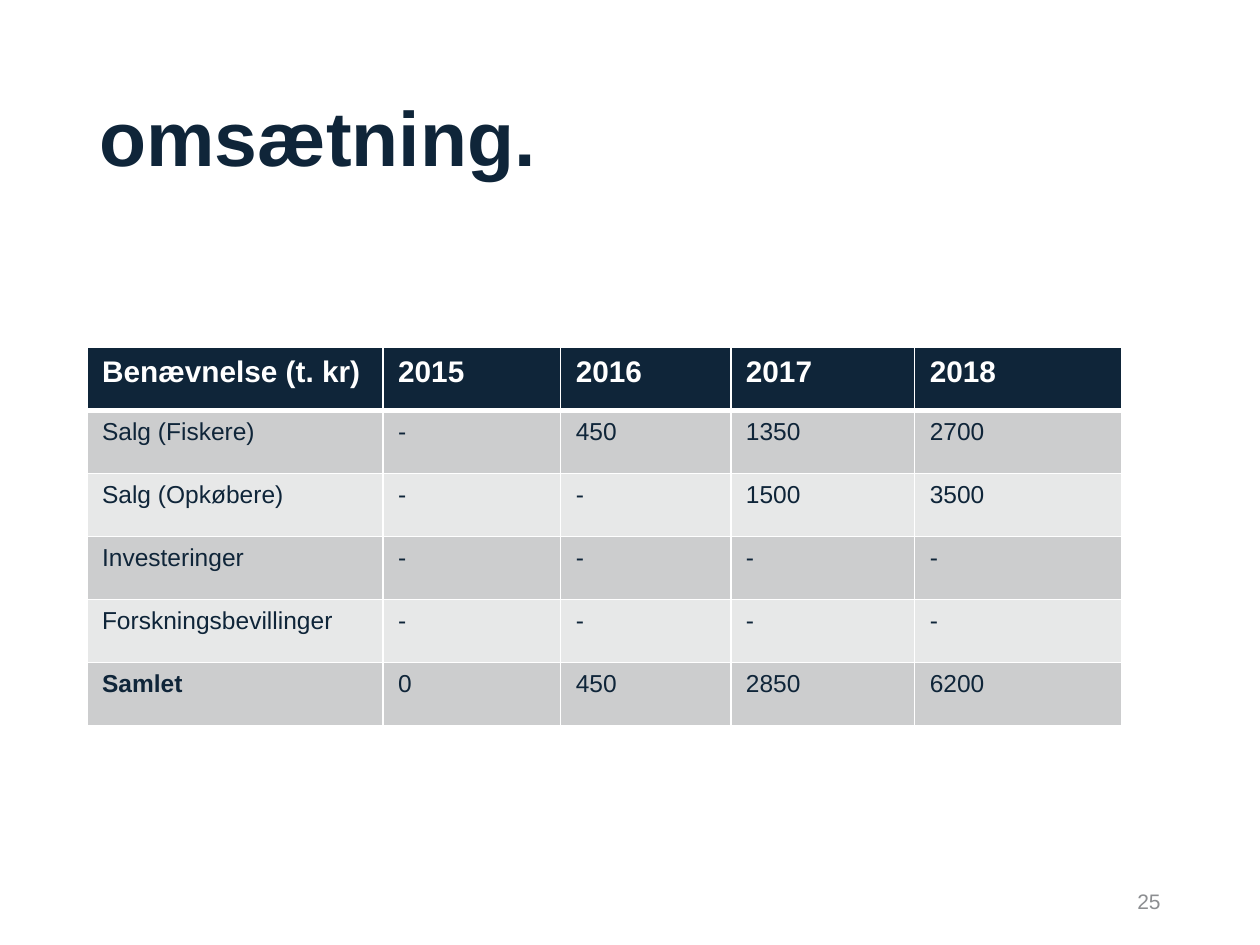
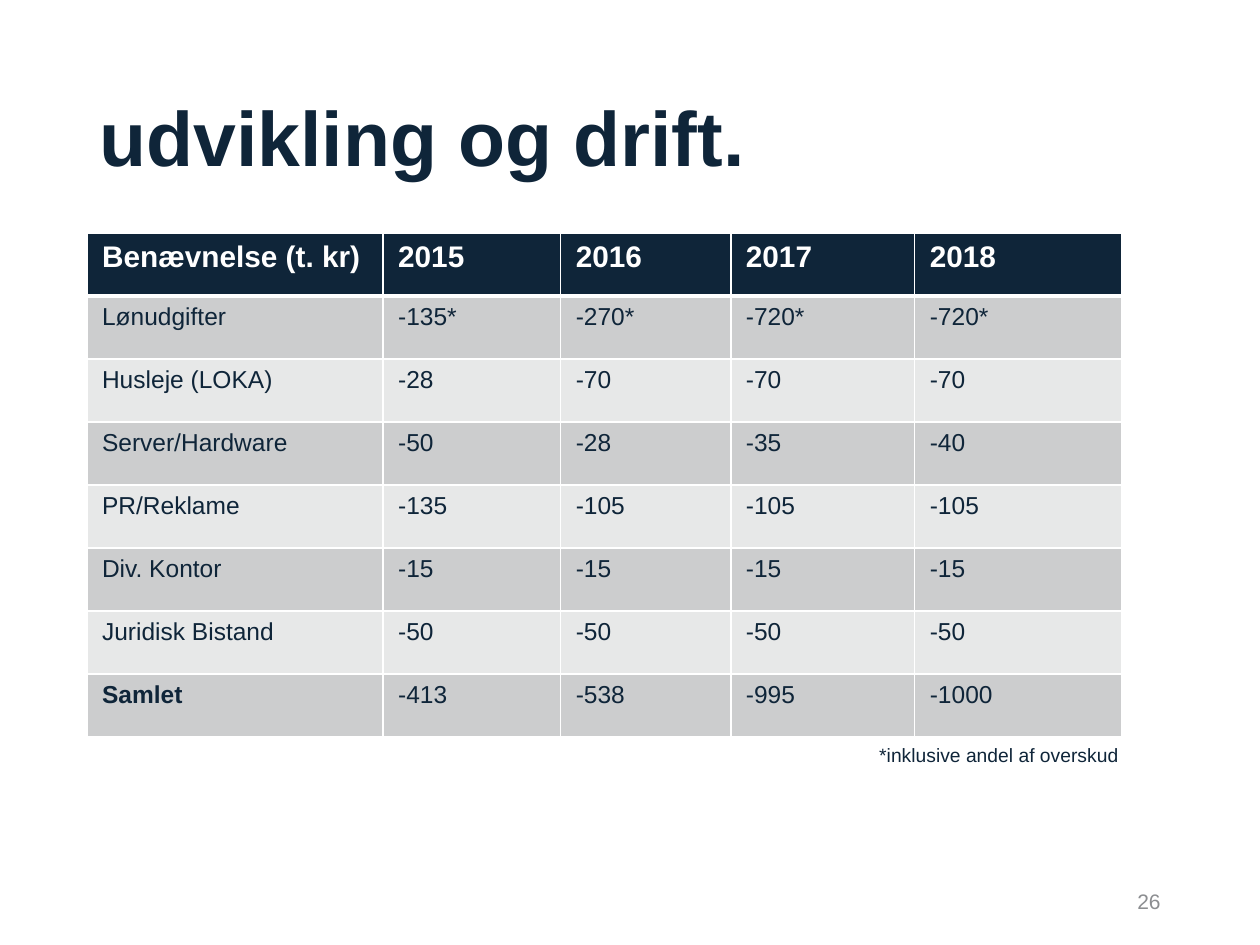
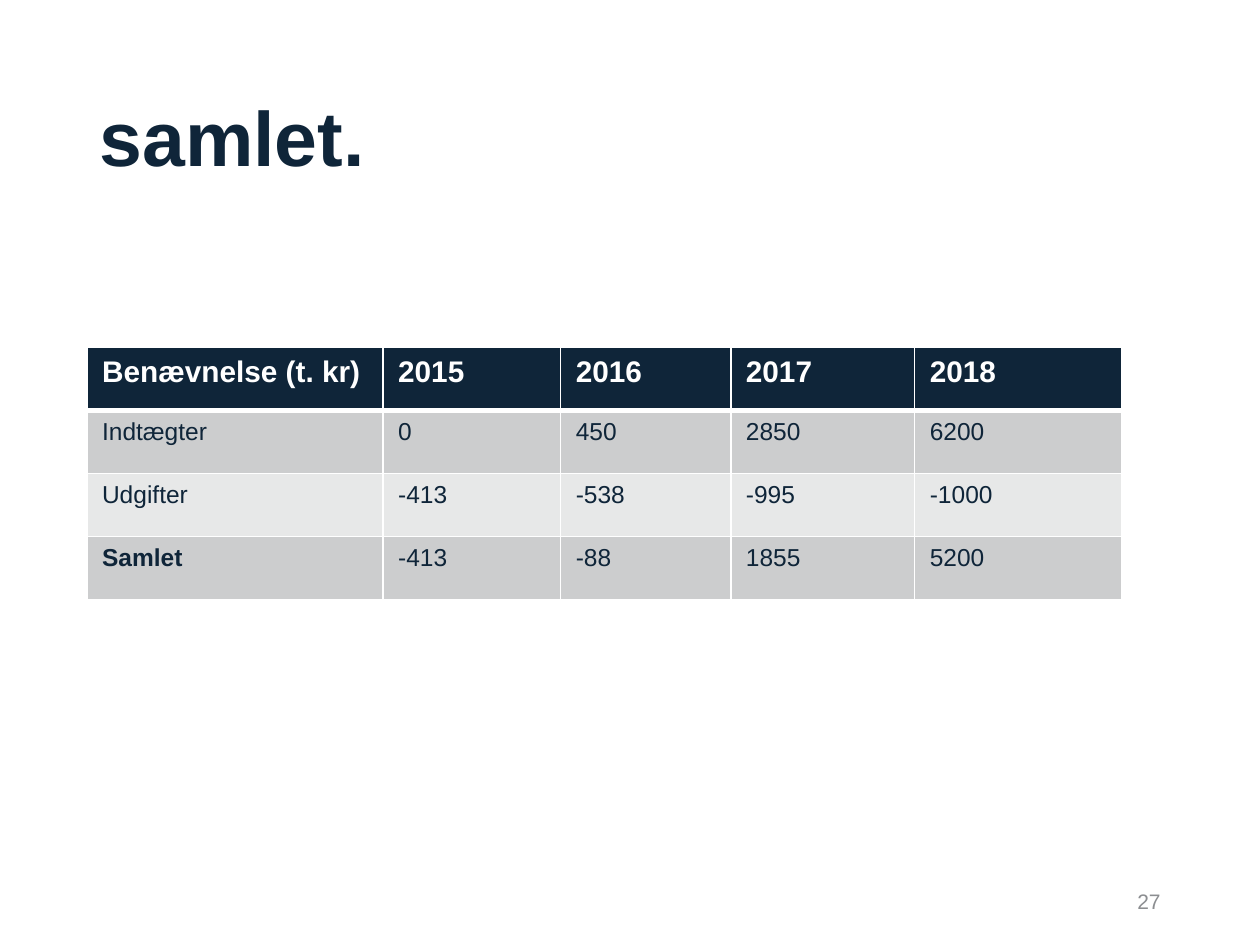
from lxml import etree
from pptx import Presentation
from pptx.dml.color import RGBColor
from pptx.enum.text import MSO_ANCHOR, PP_ALIGN
from pptx.oxml.ns import qn
from pptx.util import Inches, Pt

LEFT, RIGHT = PP_ALIGN.LEFT, PP_ALIGN.RIGHT
TOP, MIDDLE = MSO_ANCHOR.TOP, MSO_ANCHOR.MIDDLE

FONT = "Arial"
NAVY, WHITE, GREY = "0F2539", "FFFFFF", "8C8E91"
BANDS = ("CCCDCE", "E7E8E8")

FIRST_NUMBER = 25
TABLE_LEFT = 0.69
COLUMN_WIDTHS = (2.35, 1.41, 1.35, 1.46, 1.64)
ROW_HEIGHT = 0.5
HEADER = ("Benævnelse (t. kr)", "2015", "2016", "2017", "2018")
TOTAL = "Samlet"

SLIDES = [
    {
        "title": "omsætning.",
        "table_top": 2.76,
        "rows": [
            ("Salg (Fiskere)", "-", "450", "1350", "2700"),
            ("Salg (Opkøbere)", "-", "-", "1500", "3500"),
            ("Investeringer", "-", "-", "-", "-"),
            ("Forskningsbevillinger", "-", "-", "-", "-"),
            (TOTAL, "0", "450", "2850", "6200"),
        ],
    },
    {
        "title": "udvikling og drift.",
        "table_top": 1.85,
        "rows": [
            ("Lønudgifter", "-135*", "-270*", "-720*", "-720*"),
            ("Husleje (LOKA)", "-28", "-70", "-70", "-70"),
            ("Server/Hardware", "-50", "-28", "-35", "-40"),
            ("PR/Reklame", "-135", "-105", "-105", "-105"),
            ("Div. Kontor", "-15", "-15", "-15", "-15"),
            ("Juridisk Bistand", "-50", "-50", "-50", "-50"),
            (TOTAL, "-413", "-538", "-995", "-1000"),
        ],
        "note": "*inklusive andel af overskud",
    },
    {
        "title": "samlet.",
        "table_top": 2.76,
        "rows": [
            ("Indtægter", "0", "450", "2850", "6200"),
            ("Udgifter", "-413", "-538", "-995", "-1000"),
            (TOTAL, "-413", "-88", "1855", "5200"),
        ],
    },
]


def rgb(color):
    return RGBColor.from_string(color)


def write(frame, text, size, color, bold=False, align=LEFT):
    frame.text = text
    para = frame.paragraphs[0]
    para.alignment = align
    font = para.runs[0].font
    font.name, font.size, font.bold = FONT, Pt(size), bold
    font.color.rgb = rgb(color)


def place(shape, left, top, width, height):
    shape.left, shape.top = Inches(left), Inches(top)
    shape.width, shape.height = Inches(width), Inches(height)


def add_title(page, text):
    title = page.shapes.title
    place(title, 0.69, 0.4, 8.62, 1.45)
    frame = title.text_frame
    write(frame, text, 44, NAVY, bold=True)
    frame.vertical_anchor = MIDDLE
    frame.paragraphs[0].line_spacing = 0.9


def add_text(page, area, text, size, color, anchor=TOP, align=LEFT, wrap=True):
    box = page.shapes.add_textbox(*(Inches(length) for length in area))
    frame = box.text_frame
    frame.word_wrap = wrap
    frame.vertical_anchor = anchor
    write(frame, text, size, color, align=align)


def set_borders(cell, top, bottom):
    """Draw white cell edges; top and bottom are line widths in points."""
    properties = cell._tc.get_or_add_tcPr()
    for edge, width in (("L", 1), ("R", 1), ("T", top), ("B", bottom)):
        line = etree.SubElement(properties, qn(f"a:ln{edge}"), w=str(Pt(width)))
        fill = etree.SubElement(line, qn("a:solidFill"))
        etree.SubElement(fill, qn("a:srgbClr"), val=WHITE)


def format_cell(cell, text, row, column):
    is_header = row == 0
    set_borders(cell, top=3 if row == 1 else 1, bottom=3 if is_header else 1)
    cell.fill.solid()
    cell.fill.fore_color.rgb = rgb(NAVY if is_header else BANDS[(row - 1) % 2])
    cell.margin_left = cell.margin_right = Inches(0.12)
    cell.margin_top = cell.margin_bottom = Inches(0.06)
    if is_header:
        write(cell.text_frame, text, 17, WHITE, bold=True)
    else:
        write(cell.text_frame, text, 14, NAVY, bold=column == 0 and text == TOTAL)


def add_budget_table(page, top, rows):
    """Add the yearly figures under the shared header and return the bottom edge."""
    lines = [HEADER, *rows]
    height = ROW_HEIGHT * len(lines)
    table = page.shapes.add_table(
        len(lines), len(HEADER), Inches(TABLE_LEFT), Inches(top),
        Inches(sum(COLUMN_WIDTHS)), Inches(height)).table
    for column, width in zip(table.columns, COLUMN_WIDTHS):
        column.width = Inches(width)
    for row, values in enumerate(lines):
        for column, text in enumerate(values):
            format_cell(table.cell(row, column), text, row, column)
    return top + height


def main():
    deck = Presentation()
    deck.slide_width, deck.slide_height = Inches(10), Inches(7.5)
    title_only = deck.slide_layouts[5]
    for number, content in enumerate(SLIDES, FIRST_NUMBER):
        page = deck.slides.add_slide(title_only)
        add_title(page, content["title"])
        bottom = add_budget_table(page, content["table_top"], content["rows"])
        add_text(page, (7.06, 6.95, 2.25, 0.4), str(number), 12, GREY,
                 anchor=MIDDLE, align=RIGHT)
        if "note" in content:
            add_text(page, (6.88, bottom, 2.1, 0.29), content["note"], 11, NAVY,
                     wrap=False)
    deck.save("out.pptx")


if __name__ == "__main__":
    main()
